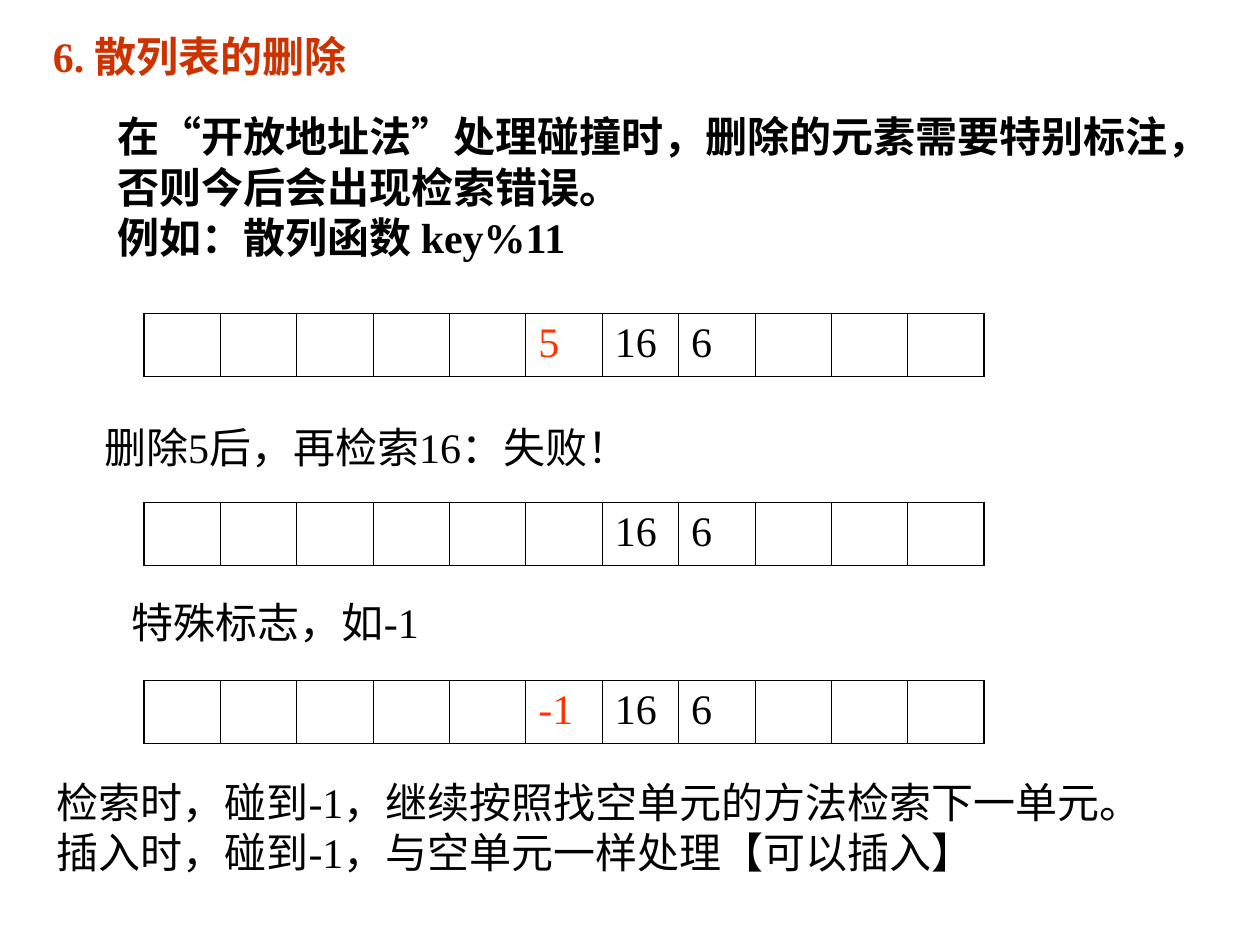
from lxml import etree
from pptx import Presentation
from pptx.dml.color import RGBColor
from pptx.enum import text
from pptx.oxml.ns import qn
from pptx.util import Cm, Pt


def style(para, hue="000000", bold=False):
    """Set the slide's common type on one paragraph."""
    para.alignment = text.PP_ALIGN.LEFT
    para.space_before = Pt(0)
    font = para.font
    font.name, font.size, font.bold = "Times New Roman", Pt(24), bold
    font.color.rgb = RGBColor.from_string(hue)


def edge(cell, side, width):
    """Draw one black border of a cell; sides go in the order L, R, T, B."""
    props = cell._tc.get_or_add_tcPr()
    line = etree.SubElement(props, qn(f"a:ln{side}"), w=str(Pt(width)))
    fill = etree.SubElement(line, qn("a:solidFill"))
    etree.SubElement(fill, qn("a:srgbClr"), val="000000")


deck = Presentation()
deck.slide_width, deck.slide_height = Cm(25.4), Cm(19.05)
slide = deck.slides.add_slide(deck.slide_layouts[1])

# Title and lead text
title, body = slide.placeholders
heads = [
    (title, (0.81, 0.48, 8.69, 1.27), "CC3300", ["6. 散列表的删除"]),
    (body, (0.84, 2.11, 23.29, 3.3), "000000",
     ["在“开放地址法”处理碰撞时，删除的元素需要特别标注，否则今后会出现检索错误。",
      "例如：散列函数 key%11"]),
]
for shape, place, hue, lines in heads:
    shape.left, shape.top, shape.width, shape.height = map(Cm, place)
    frame = shape.text_frame
    frame.text = "\n".join(lines)
    frame.auto_size = text.MSO_AUTO_SIZE.NONE
    frame.vertical_anchor = text.MSO_ANCHOR.TOP
    for para in frame.paragraphs:
        if shape is body:
            props = para._p.get_or_add_pPr()
            props.set("marL", str(Cm(1.27)))
            props.set("indent", "0")
            etree.SubElement(props, qn("a:buNone"))
        style(para, hue, bold=True)

# Hash tables: top edge and the filled slots
slots = 11
red = "FF3300"
states = [
    (6.32, {5: "5", 6: "16", 7: "6"}),
    (10.13, {6: "16", 7: "6"}),
    (13.72, {5: "-1", 6: "16", 7: "6"}),
]
for top, keys in states:
    table = slide.shapes.add_table(
        1, slots, Cm(2.9), Cm(top), Cm(16.94), Cm(1.27)).table
    table.first_row = table.horz_banding = False
    for col in range(slots):
        table.columns[col].width = Cm(1.54)
        cell = table.cell(0, col)
        cell.text = keys.get(col, "")
        style(cell.text_frame.paragraphs[0], red if col == 5 else "000000")
        edge(cell, "L", 1.08 if col == 0 else 0.45)
        edge(cell, "R", 1.08 if col == slots - 1 else 0.45)
        edge(cell, "T", 1.08)
        edge(cell, "B", 1.08)
        cell.fill.background()

# Remarks between and below the tables
notes = [
    (1.85, 8.38, 11.89, 1.27, ["删除5后，再检索16：失败！"]),
    (2.41, 11.91, 6.5, 1.27, ["特殊标志，如-1"]),
    (0.89, 15.52, 22.78, 2.29,
     ["检索时，碰到-1，继续按照找空单元的方法检索下一单元。",
      "插入时，碰到-1，与空单元一样处理【可以插入】"]),
]
for *place, lines in notes:
    frame = slide.shapes.add_textbox(*map(Cm, place)).text_frame
    frame.word_wrap = False
    frame.text = "\n".join(lines)
    for para in frame.paragraphs:
        style(para)

deck.save("out.pptx")
